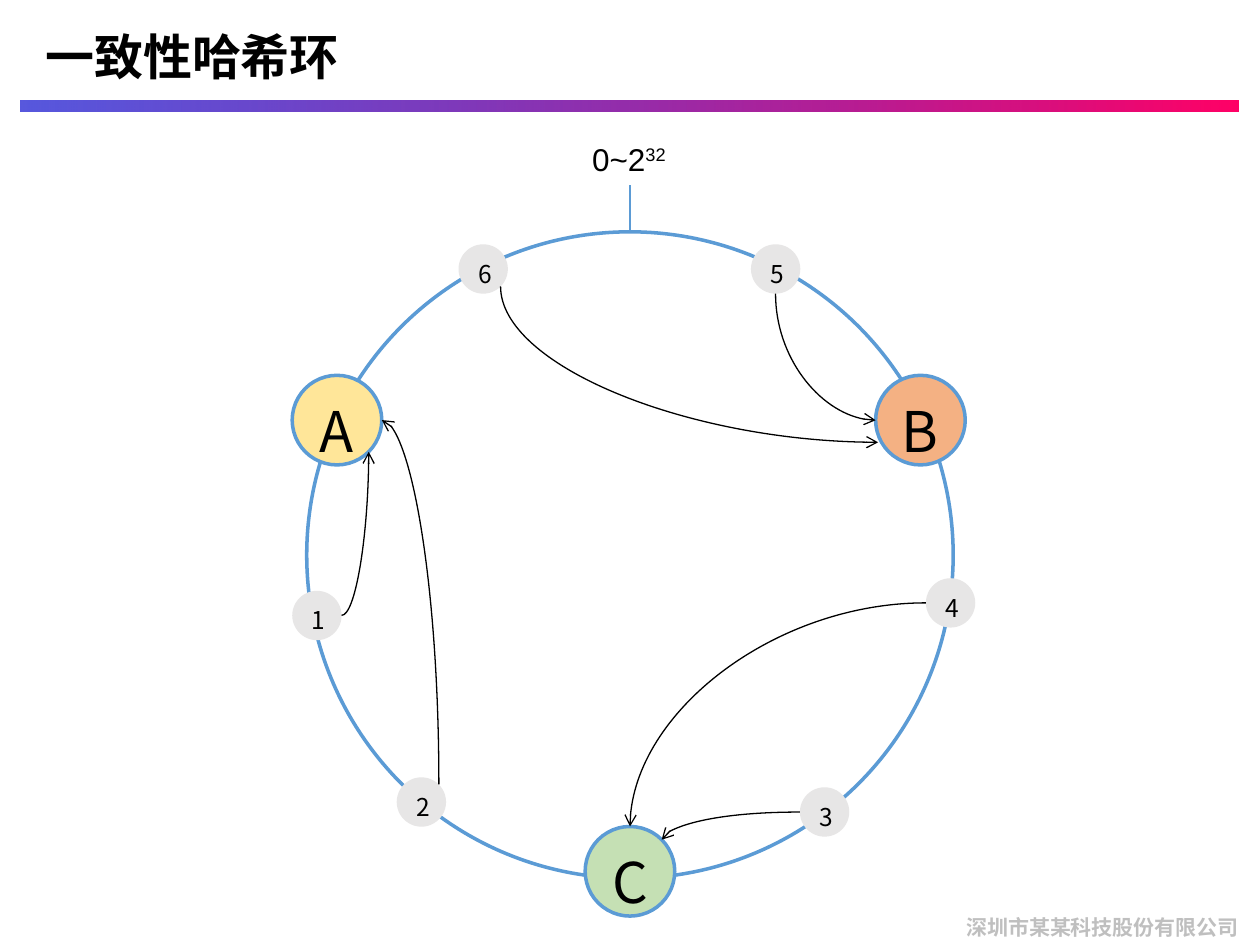
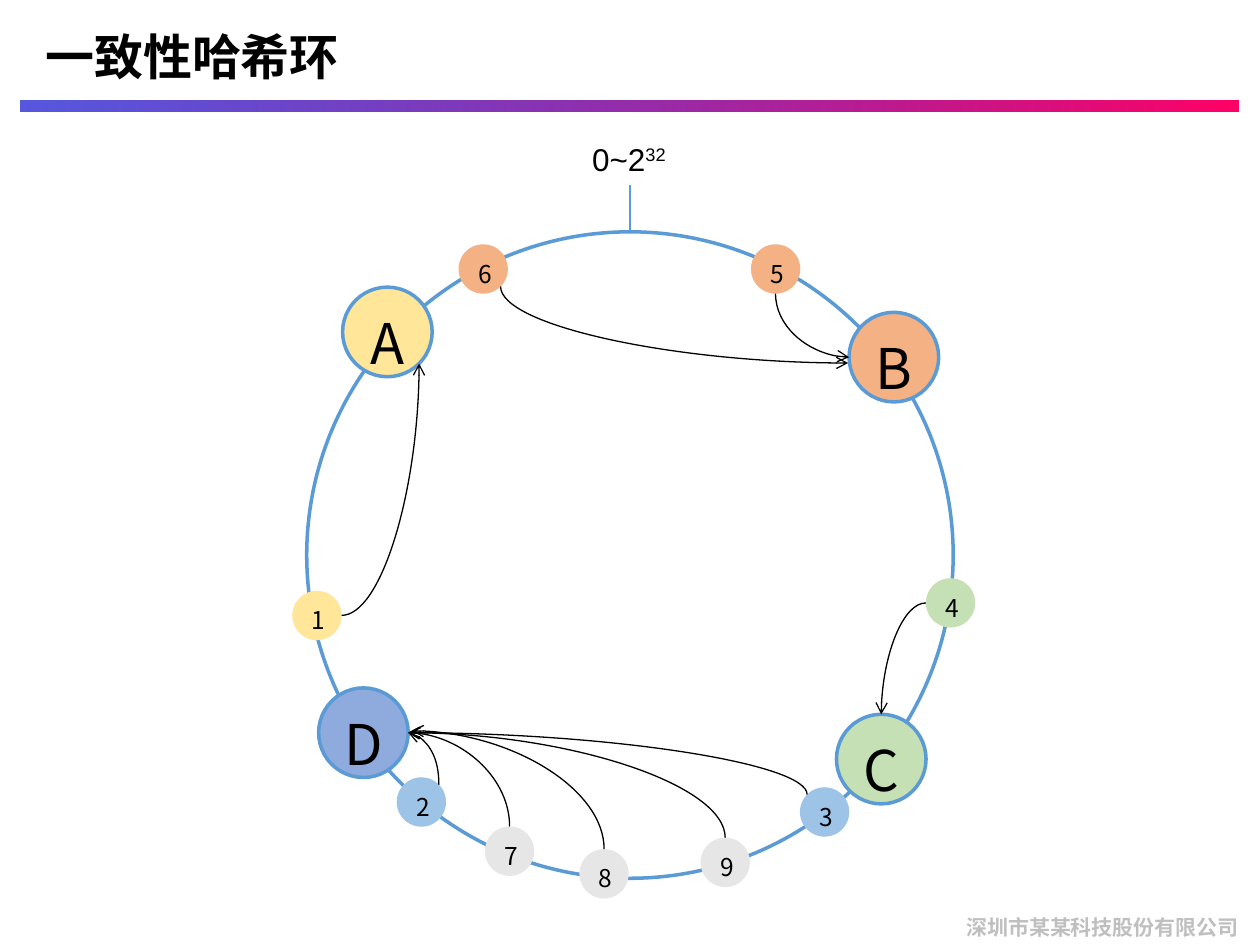
from pptx import Presentation
from pptx.dml.color import RGBColor
from pptx.enum import shapes, text
from pptx.oxml import ns
from pptx.util import Pt
from lxml import etree
from math import cos, radians, sin

TITLE = "一致性哈希环"
FIRM = "深圳市某某科技股份有限公司"
RANGE = ("0~2", "32")

HUE = {
    "blue": "0000CC", "pink": "FF0066", "ring": "5B9BD5", "white": "FFFFFF",
    "black": "000000", "foot": "BFBFBF", "grey": "E7E6E6", "gold": "FFE699",
    "coral": "F4B183", "green": "C5E0B4", "sky": "9DC3E6", "navy": "8FAADC",
}
CJK = "Noto Sans CJK SC"
HEAD = {"size": Pt(28), "bold": True}
FOOT = {"size": Pt(12), "bold": True}

# Centres of the key dots, the same on every slide
KEYS = {
    "1": (181.1, 351.7), "2": (240.8, 458.3), "3": (471.2, 464),
    "4": (543.2, 344.5), "5": (443.2, 153.7), "6": (276.1, 153.7),
    "7": (291.2, 486.4), "8": (345.2, 499.3), "9": (414.4, 492.8),
}
NODES = {"A": "gold", "B": "coral", "C": "green", "D": "navy"}

# Clockwise angles of the places where an arrow leaves or meets a circle
SIDES = {"right": 0, "low right": 45, "bottom": 90, "left": 180,
         "high left": 225, "top": 270, "high right": 315}

# Arrow: key, side, first direction, node, side or exact point
RINGS = [
    {
        "nodes": {"A": (192.6, 240.1), "B": (526, 240.1), "C": (360, 497.9)},
        "keys": dict.fromkeys("123456", "grey"),
        "arrows": [
            ("1", "right", "across", "A", "low right"),
            ("2", "high right", "down", "A", "right"),
            ("3", "left", "across", "C", "high right"),
            ("4", "left", "across", "C", "top"),
            ("5", "bottom", "down", "B", "left"),
            ("6", "low right", "down", "B", (501.8, 252.7)),
        ],
    },
    {
        "nodes": {"A": (221.4, 189.7), "B": (510.8, 204.1),
                  "C": (503.6, 433.8), "D": (207.7, 418.7)},
        "keys": {"1": "gold", "2": "sky", "3": "sky", "4": "green",
                 "5": "coral", "6": "coral", "7": "grey", "8": "grey",
                 "9": "grey"},
        "arrows": [
            ("1", "right", "across", "A", "low right"),
            ("2", "high right", "down", "D", "right"),
            ("3", "high left", "down", "D", "right"),
            ("4", "left", "across", "C", "top"),
            ("5", "bottom", "down", "B", "left"),
            ("6", "low right", "down", "B", (484.6, 207.4)),
            ("7", "top", "down", "D", "right"),
            ("8", "top", "down", "D", (235.4, 417.6)),
            ("9", "top", "down", "D", "right"),
        ],
    },
]

MID = (360, 317.2)
RING_R, NODE_R, KEY_R = 184.7, 25.6, 14.1


def rgb(name):
    return RGBColor.from_string(HUE[name])


def sub(parent, tag, **attrs):
    """Append an XML child with the given attributes."""
    etree.SubElement(parent, ns.qn(tag), attrs)


def write(para, words, form, hue="black", face=CJK):
    run = para.add_run()
    run.text = words
    run.font.color.rgb = rgb(hue)
    run.font.name = face
    for key, val in form.items():
        setattr(run.font, key, val)
    sub(run._r.get_or_add_rPr(), "a:ea", typeface=face)
    return run


def label(slide, box, **form):
    """Add an empty text box and return its first paragraph."""
    frame = slide.shapes.add_textbox(*map(Pt, box)).text_frame
    frame.word_wrap = True
    for key, val in form.items():
        setattr(frame, key, val)
    return frame.paragraphs[0]


def circle(slide, mid, rad, fill, line=None, words="", size=14):
    box = (mid[0] - rad, mid[1] - rad, 2 * rad, 2 * rad)
    shape = slide.shapes.add_shape(shapes.MSO_SHAPE.OVAL, *map(Pt, box))
    shape.shadow.inherit = False
    shape.fill.solid()
    shape.fill.fore_color.rgb = rgb(fill)
    if line:
        shape.line.color.rgb = rgb(line)
        shape.line.width = Pt(2)
    else:
        shape.line.fill.background()
    if words:
        shape.text_frame.vertical_anchor = text.MSO_ANCHOR.MIDDLE
        para = shape.text_frame.paragraphs[0]
        para.alignment = text.PP_ALIGN.CENTER
        para.line_spacing = 1.3
        write(para, words, {"size": Pt(size)})
    return shape


def link(slide, kind, start, end, hue):
    line = slide.shapes.add_connector(kind, *map(Pt, (*start, *end)))
    line.line.color.rgb = rgb(hue)
    line.line.width = Pt(0.75)
    sub(line._element.spPr, "a:effectLst")
    return line


def rim(mid, rad, side):
    turn = radians(SIDES[side])
    return mid[0] + rad * cos(turn), mid[1] + rad * sin(turn)


def arrow(slide, start, end, way):
    """Draw a quarter bend that sets off across or down the slide."""
    dx, dy = end[0] - start[0], end[1] - start[1]
    if way == "across":
        turns = 0 if dx > 0 else 2
    else:
        turns = 1 if dy > 0 else 3
    cx, cy = start[0] + dx / 2, start[1] + dy / 2
    hx, hy = dx / 2, dy / 2
    for _ in range(turns):
        hx, hy = hy, -hx
    line = link(slide, shapes.MSO_CONNECTOR.CURVE,
                (cx - hx, cy - hy), (cx + hx, cy + hy), "black")
    props = line._element.spPr
    props.find(ns.qn("a:prstGeom")).set("prst", "curvedConnector2")
    if turns:
        props.find(ns.qn("a:xfrm")).set("rot", str(turns * 5400000))
    sub(props.find(ns.qn("a:ln")), "a:tailEnd", type="arrow")


def frame(slide):
    """Add the band, footer and title."""
    band = slide.shapes.add_shape(shapes.MSO_SHAPE.RECTANGLE,
                                  *map(Pt, (12, 57.4, 696, 6.4)))
    band.shadow.inherit = False
    band.line.fill.background()
    band.fill.gradient()
    band.fill.gradient_angle = 0
    for stop, hue, place in zip(band.fill.gradient_stops,
                                ("blue", "pink"), (0, 1)):
        stop.color.rgb = rgb(hue)
        stop.position = place
    first = band._element.spPr.find(".//" + ns.qn("a:srgbClr"))
    sub(first, "a:alpha", val="66000")
    write(label(slide, (545, 519, 178, 24)), FIRM, FOOT, "foot")
    write(label(slide, (11.5, 0, 593, 63.4), margin_left=Pt(14.4),
                vertical_anchor=text.MSO_ANCHOR.MIDDLE), TITLE, HEAD)


def ring(slide):
    """Add the hash ring with its range above."""
    loop = circle(slide, MID, RING_R, "white", "ring")
    top = rim(MID, RING_R, "top")
    tick = link(slide, shapes.MSO_CONNECTOR.STRAIGHT, top,
                (MID[0], 105.8), "ring")
    tick.begin_connect(loop, 0)
    para = label(slide, (331.2, 76.3, 58.3, 29), word_wrap=False)
    for words in RANGE:
        run = write(para, words, {"size": Pt(18)}, face="Arial")
    run._r.get_or_add_rPr().set("baseline", "30000")


def main():
    deck = Presentation()
    deck.slide_width, deck.slide_height = Pt(720), Pt(540)
    for plan in RINGS:
        slide = deck.slides.add_slide(deck.slide_layouts[6])
        frame(slide)
        ring(slide)
        nodes = plan["nodes"]
        for name, mid in nodes.items():
            circle(slide, mid, NODE_R, NODES[name], "ring", name, 32)
        for name, hue in plan["keys"].items():
            circle(slide, KEYS[name], KEY_R, hue, words=name)
        for key, side, way, node, goal in plan["arrows"]:
            if goal in SIDES:
                goal = rim(nodes[node], NODE_R, goal)
            arrow(slide, rim(KEYS[key], KEY_R, side), goal, way)
    deck.save("out.pptx")


if __name__ == "__main__":
    main()
